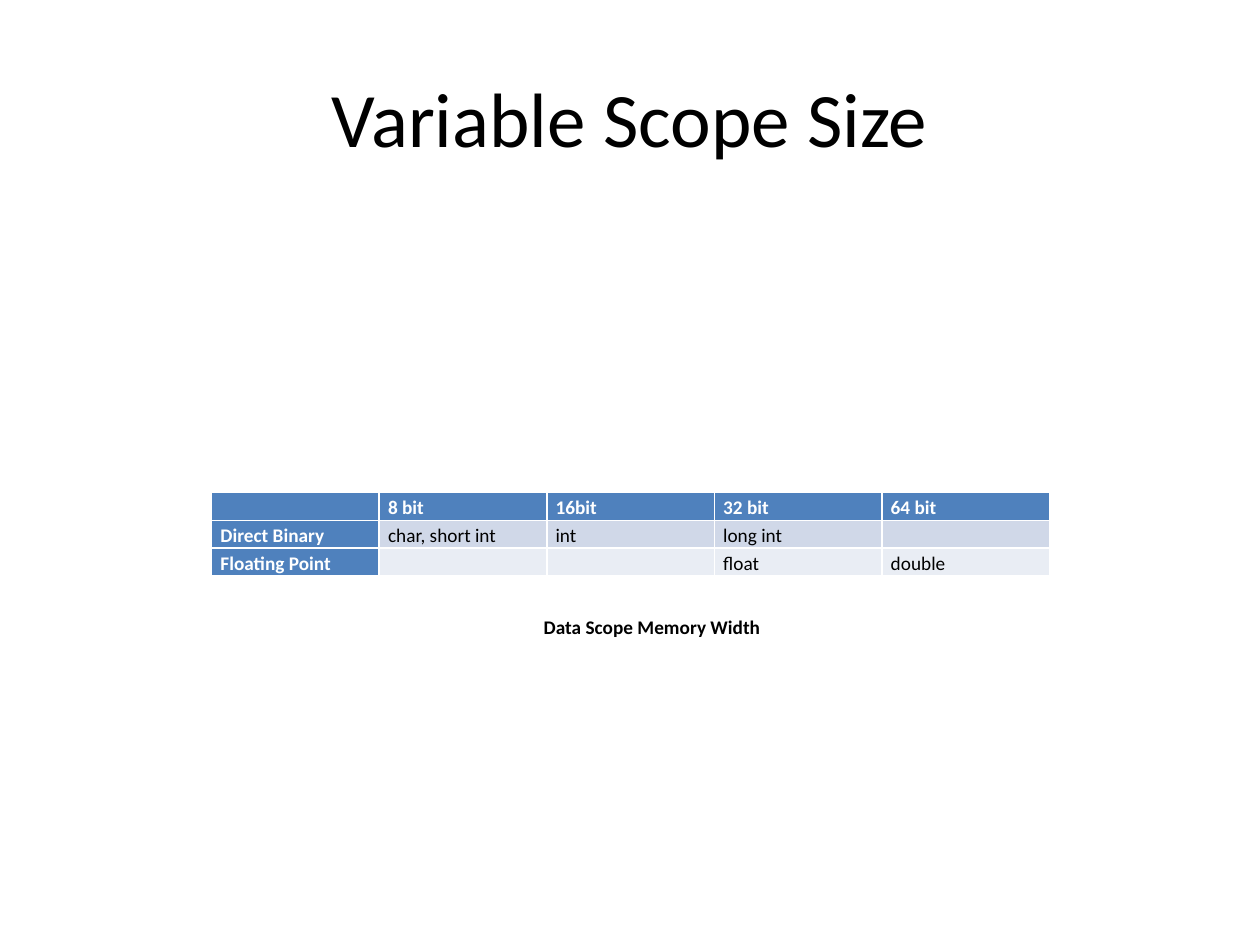
from pptx import Presentation
from pptx.dml.color import RGBColor
from pptx.enum.text import MSO_ANCHOR, PP_ALIGN
from pptx.util import Inches, Pt


def colour(value):
    return RGBColor.from_string(value)


class ScopePage:
    """Holds the text style and the slide, and adds each kind of element."""

    font_name = "Calibri"
    ink = "000000"
    header_fill = "4F81BD"
    header_ink = "FFFFFF"
    band_fills = ("E9EDF4", "D0D8E8")

    def __init__(self, deck):
        self.page = deck.slides.add_slide(deck.slide_layouts[6])

    def style(self, paragraph, size, ink, bold=False):
        font = paragraph.font
        font.name = self.font_name
        font.size = Pt(size)
        font.bold = bold
        font.color.rgb = colour(ink)

    def text(self, wording, left, top, width, height, size, bold=False):
        box = self.page.shapes.add_textbox(
            Inches(left), Inches(top), Inches(width), Inches(height))
        frame = box.text_frame
        frame.word_wrap = True
        frame.vertical_anchor = MSO_ANCHOR.MIDDLE
        paragraph = frame.paragraphs[0]
        paragraph.text = wording
        paragraph.alignment = PP_ALIGN.CENTER
        self.style(paragraph, size, self.ink, bold)

    def table(self, rows, left, top, column_width, row_height, size):
        columns = len(rows[0])
        table = self.page.shapes.add_table(
            len(rows), columns, Inches(left), Inches(top),
            Inches(column_width * columns), Inches(row_height * len(rows))).table
        table.first_col = True
        for column in table.columns:
            column.width = Inches(column_width)
        for row_index, row in enumerate(rows):
            table.rows[row_index].height = Inches(row_height)
            for column_index, wording in enumerate(row):
                header = row_index == 0 or column_index == 0
                band = self.band_fills[row_index % 2]
                self.cell(table.cell(row_index, column_index), wording, size,
                          self.header_fill if header else band,
                          self.header_ink if header else self.ink, header)

    def cell(self, cell, wording, size, fill, ink, bold):
        cell.fill.solid()
        cell.fill.fore_color.rgb = colour(fill)
        cell.margin_left = cell.margin_right = Inches(0.07)
        cell.margin_top = cell.margin_bottom = 0
        paragraph = cell.text_frame.paragraphs[0]
        paragraph.line_spacing = 1.15
        self.style(paragraph, size, ink, bold)
        if wording:
            paragraph.text = wording
        else:
            paragraph._p.get_or_add_endParaRPr().set("sz", str(size * 100))


deck = Presentation()
deck.slide_width = Inches(10)
deck.slide_height = Inches(7.5)

scope = ScopePage(deck)
scope.text("Variable Scope Size", 0.5, 0.3, 9, 1.25, 44)
scope.table([
    ["", "8 bit", "16bit", "32 bit", "64 bit"],
    ["Direct Binary", "char, short int", "int", "long int", ""],
    ["Floating Point", "", "", "float", "double"],
], 1.68, 3.91, 1.33, 0.22, 11)
scope.text("Data Scope Memory Width", 1.68, 4.83, 6.99, 0.29, 11, bold=True)

deck.save("out.pptx")
